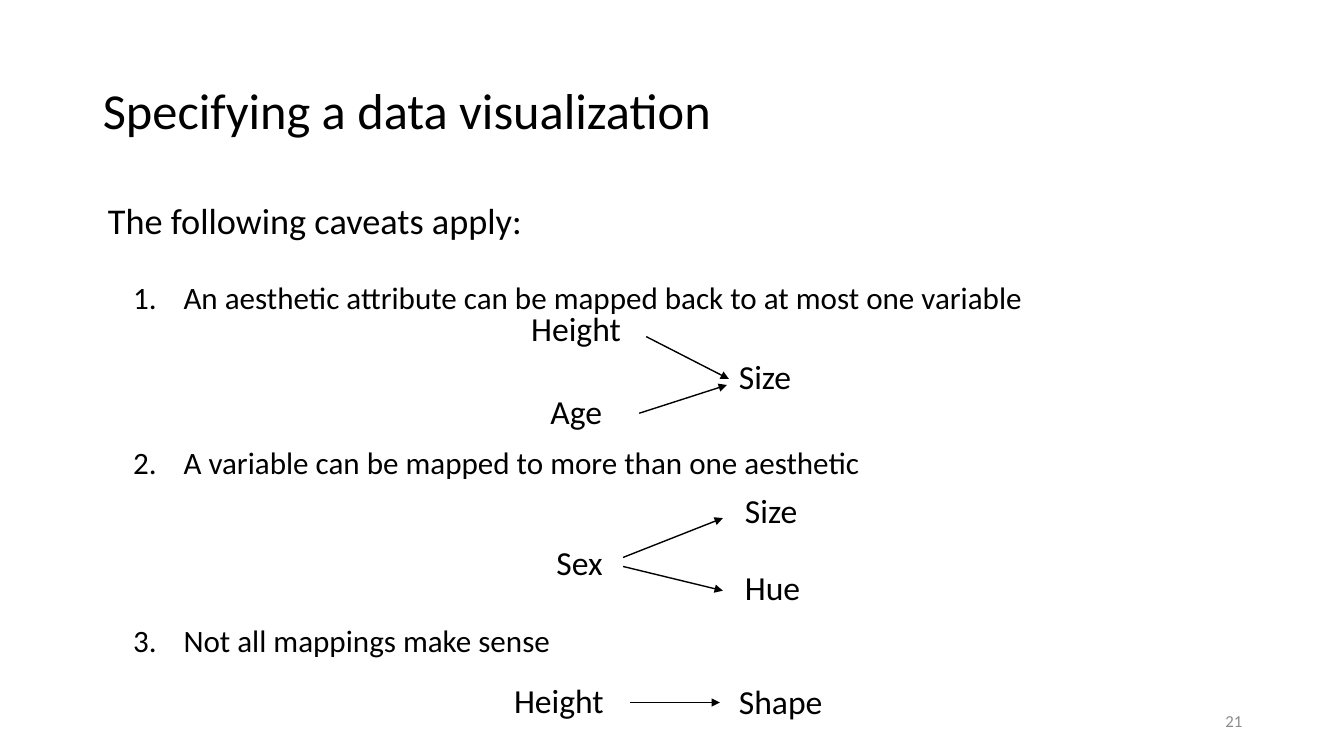
from lxml import etree
from pptx import Presentation
from pptx.dml.color import RGBColor
from pptx.enum.shapes import MSO_CONNECTOR
from pptx.enum.text import MSO_ANCHOR, MSO_AUTO_SIZE, PP_ALIGN
from pptx.oxml.ns import qn
from pptx.util import Inches, Pt

BLACK = RGBColor(0x00, 0x00, 0x00)
GREY = RGBColor(0x8C, 0x8C, 0x8C)
FONT = "Calibri"
STRAIGHT = MSO_CONNECTOR.STRAIGHT
LEFT, RIGHT = PP_ALIGN.LEFT, PP_ALIGN.RIGHT
TOP, MIDDLE = MSO_ANCHOR.TOP, MSO_ANCHOR.MIDDLE
NO_FIT, GROW = MSO_AUTO_SIZE.NONE, MSO_AUTO_SIZE.SHAPE_TO_FIT_TEXT
LEFT_SIDE = 1

CAVEATS = [
    ("An aesthetic attribute can be mapped back to at most one variable", 31.7),
    ("A variable can be mapped to more than one aesthetic", 96.2),
    ("Not all mappings make sense", 106.2),
]
LABELS = [
    ("Height", 5.17, 3.05, 1.1),
    ("Age", 5.36, 3.87, 0.72),
    ("Sex", 5.42, 5.37, 0.66),
    ("Size", 7.29, 4.86, 0.73),
    ("Hue", 7.29, 5.62, 0.76),
    ("Height", 5, 6.74, 1.1),
    ("Shape", 7.23, 6.75, 1.04),
]
ARROWS = [
    (6.34, 4.1, 7.21, 3.82),
    (6.18, 5.53, 7.17, 5.14),
    (6.18, 5.62, 7.17, 5.86),
    (6.25, 6.97, 7.14, 6.97),
]


def place(box, left, top, width, height):
    """Move and size a shape, in inches."""
    box.left, box.top = Inches(left), Inches(top)
    box.width, box.height = Inches(width), Inches(height)


def write(para, text, size=24, color=BLACK, align=LEFT, spacing=0.9, before=0):
    """Write one formatted run into a paragraph."""
    para.alignment = align
    para.line_spacing = spacing
    para.space_before = Pt(before)
    span = para.add_run()
    span.text = text
    span.font.name = FONT
    span.font.size = Pt(size)
    span.font.color.rgb = color


def set_list_style(para, margin, indent, numbered):
    """Set the indents of a paragraph and its number, if any."""
    properties = para._p.get_or_add_pPr()
    properties.set("marL", str(Inches(margin)))
    properties.set("indent", str(Inches(indent)))
    if numbered:
        etree.SubElement(properties, qn("a:buFont"), typeface="+mj-lt")
        etree.SubElement(properties, qn("a:buAutoNum"), type="arabicPeriod")
    else:
        etree.SubElement(properties, qn("a:buNone"))


def fill_title(title):
    """Place and write the slide title."""
    place(title, 0.92, 0.4, 11.5, 1.45)
    title.text_frame.auto_size = NO_FIT
    title.text_frame.vertical_anchor = MIDDLE
    write(title.text_frame.paragraphs[0], "Specifying a data visualization", size=36)


def fill_body(body):
    """Place the body and write the lead line and numbered caveats."""
    place(body, 0.92, 2, 11.5, 4.76)
    frame = body.text_frame
    frame.auto_size = NO_FIT
    frame.vertical_anchor = TOP
    lead = frame.paragraphs[0]
    set_list_style(lead, 0.05, 0, False)
    write(lead, "The following caveats apply:", size=25.9, spacing=0.8)
    for text, before in CAVEATS:
        para = frame.add_paragraph()
        para.level = 1
        set_list_style(para, 0.8, -0.5, True)
        write(para, text, size=22.2, spacing=0.8, before=before)


def add_label(page, text, left, top, width):
    """Add a one-line diagram label."""
    box = page.shapes.add_textbox(Inches(left), Inches(top), Inches(width), Inches(0.46))
    box.text_frame.word_wrap = False
    box.text_frame.auto_size = GROW
    write(box.text_frame.paragraphs[0], text)
    return box


def add_arrow(page, x1, y1, x2, y2):
    """Add a thin black arrow."""
    arrow = page.shapes.add_connector(STRAIGHT, Inches(x1), Inches(y1), Inches(x2), Inches(y2))
    arrow.line.color.rgb = BLACK
    arrow.line.width = Pt(1)
    etree.SubElement(arrow.line._get_or_add_ln(), qn("a:tailEnd"), type="triangle")
    etree.SubElement(arrow._element.spPr, qn("a:effectLst"))
    return arrow


def add_page_number(page, number):
    """Add the page number at the lower right."""
    box = page.shapes.add_textbox(Inches(9.42), Inches(6.95), Inches(3), Inches(0.4))
    box.text_frame.word_wrap = True
    box.text_frame.vertical_anchor = MIDDLE
    write(box.text_frame.paragraphs[0], number, size=12, color=GREY, align=RIGHT, spacing=1.0)


def main():
    """Build and save the slide."""
    deck = Presentation()
    deck.slide_width, deck.slide_height = Inches(13.33), Inches(7.5)
    page = deck.slides.add_slide(deck.slide_layouts[1])
    fill_title(page.shapes.title)
    fill_body(page.placeholders[1])
    for label in LABELS:
        add_label(page, *label)
    for ends in ARROWS:
        add_arrow(page, *ends)
    shared_size = add_label(page, "Size", 7.23, 3.53, 0.73)
    height_arrow = add_arrow(page, 6.41, 3.34, 7.23, 3.76)
    height_arrow.end_connect(shared_size, LEFT_SIDE)
    add_page_number(page, "21")
    deck.save("out.pptx")


if __name__ == "__main__":
    main()
